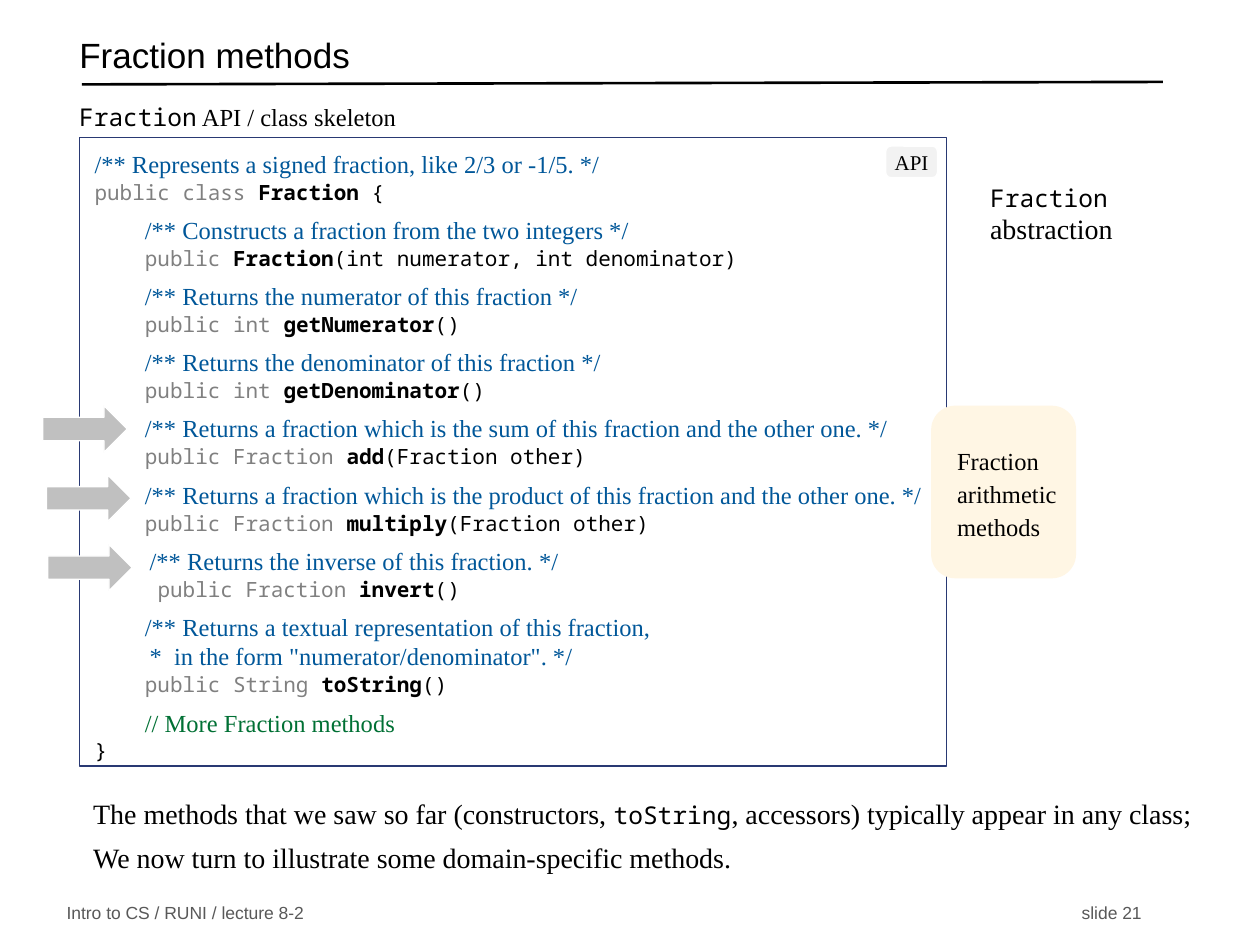
"""Builds the Fraction methods slide."""
from lxml import etree
from pptx import Presentation
from pptx.dml.color import RGBColor
from pptx.enum.shapes import MSO_CONNECTOR, MSO_SHAPE
from pptx.enum.text import MSO_ANCHOR, MSO_AUTO_SIZE, PP_ALIGN
from pptx.oxml.ns import qn
from pptx.util import Inches, Pt

RECT, ROUND, ARROW = MSO_SHAPE.RECTANGLE, MSO_SHAPE.ROUNDED_RECTANGLE, MSO_SHAPE.RIGHT_ARROW
TOP, MIDDLE = MSO_ANCHOR.TOP, MSO_ANCHOR.MIDDLE
LEFT, CENTER, RIGHT = PP_ALIGN.LEFT, PP_ALIGN.CENTER, PP_ALIGN.RIGHT
STRAIGHT, NO_FIT = MSO_CONNECTOR.STRAIGHT, MSO_AUTO_SIZE.NONE

BLACK = RGBColor(0x00, 0x00, 0x00)
WHITE = RGBColor(0xFF, 0xFF, 0xFF)
GREY = RGBColor(0x80, 0x80, 0x80)
FOOTER = RGBColor(0x59, 0x59, 0x59)
NAVY = RGBColor(0x29, 0x39, 0x73)
BLUE = RGBColor(0x00, 0x57, 0x99)
GREEN = RGBColor(0x00, 0x70, 0x34)
SILVER = RGBColor(0xC0, 0xC0, 0xC0)
PALE = RGBColor(0xF2, 0xF2, 0xF2)
CREAM = RGBColor(0xFF, 0xF6, 0xE4)

SERIF, SANS, MONO = "Times New Roman", "Arial", "Noto Sans Mono"
INDENT = "    "

METHODS = [
    (INDENT, "/** Constructs a fraction from the two integers */",
     INDENT, "public ", "Fraction", "(int numerator, int denominator)"),
    (INDENT, "/** Returns the numerator of this fraction */",
     INDENT, "public int ", "getNumerator", "()"),
    (INDENT, "/** Returns the denominator of this fraction */",
     INDENT, "public int ", "getDenominator", "()"),
    (INDENT, "/** Returns a fraction which is the sum of this fraction and the other one. */",
     INDENT, "public Fraction ", "add", "(Fraction other)"),
    (INDENT, "/** Returns a fraction which is the product of this fraction and the other one. */",
     INDENT, "public Fraction ", "multiply", "(Fraction other)"),
    ("", "         /** Returns the inverse of this fraction. */",
     "     ", "public Fraction ", "invert", "()"),
    (INDENT, "/** Returns a textual representation of this fraction,\n"
     "         *  in the form \"numerator/denominator\". */",
     INDENT, "public String ", "toString", "()"),
]


def add_run(p, text, font=SERIF, size=14, color=BLACK, bold=False):
    """Append a formatted run to a paragraph."""
    r = p.add_run()
    r.text = text
    r.font.name, r.font.size, r.font.bold = font, Pt(size), bold
    r.font.color.rgb = color


class SlideBuilder:
    """Holds the text defaults and the current slide."""

    def __init__(self, slide, font=SERIF, mono=MONO):
        self.s, self.font, self.mono = slide, font, mono

    def frame(self, sp, anchor=TOP, margins=(0.1, 0.05, 0.1, 0.05), wrap=True):
        """Prepare and return the text frame of a shape."""
        tf = sp.text_frame
        tf.word_wrap, tf.auto_size, tf.vertical_anchor = wrap, NO_FIT, anchor
        tf.margin_left, tf.margin_top, tf.margin_right, tf.margin_bottom = map(Inches, margins)
        return tf

    def para(self, tf, *runs, align=LEFT, before=0, spacing=None):
        """Add a paragraph made of (text, format) runs."""
        first = tf.paragraphs[0]
        p = tf.add_paragraph() if first.runs else first
        p.alignment, p.line_spacing = align, spacing
        if before and p._p is not first._p:
            p.space_before = Pt(before)
        for text, fmt in runs:
            add_run(p, text, **{"font": self.font, **fmt})
        return p

    def place(self, sp, x, y, w, h):
        """Move and size a placeholder."""
        sp.left, sp.top, sp.width, sp.height = map(Inches, (x, y, w, h))
        return sp

    def title(self, text, *box):
        """Fill the title placeholder."""
        tf = self.frame(self.place(self.s.shapes.title, *box), MIDDLE)
        self.para(tf, (text, dict(font=SANS, size=20)), spacing=0.7)

    def body(self, lines, *box):
        """Fill the body placeholder with unbulleted lines."""
        tf = self.frame(self.place(self.s.placeholders[1], *box))
        for level, runs in enumerate(lines):
            p = self.para(tf, *runs, before=6)
            p.level = level
            p.space_before = Pt(6 if level else 0)
            pPr = p._p.get_or_add_pPr()
            pPr.set("marL", str(Inches(0.11)))
            pPr.set("indent", "0")
            etree.SubElement(pPr, qn("a:buNone"))

    def text(self, runs, *box, align=LEFT, anchor=TOP):
        """Add a text box with one paragraph."""
        sp = self.s.shapes.add_textbox(*map(Inches, box))
        self.para(self.frame(sp, anchor), *runs, align=align)

    def shape(self, kind, *box, fill=None, line=None):
        """Add a preset shape with the given fill and outline."""
        sp = self.s.shapes.add_shape(kind, *map(Inches, box))
        sp.shadow.inherit = False
        for part, color in ((sp.fill, fill), (sp.line.fill, line)):
            if color is None:
                part.background()
            else:
                part.solid()
                part.fore_color.rgb = color
        if line is not None:
            sp.line.width = Pt(0.75)
        return sp

    def rule(self, x1, y1, x2, y2):
        """Add a straight black line."""
        cn = self.s.shapes.add_connector(STRAIGHT, *map(Inches, (x1, y1, x2, y2)))
        cn.line.color.rgb, cn.line.width = BLACK, Pt(1.5)
        etree.SubElement(cn._element.spPr, qn("a:effectLst"))

    def comment(self, tf, lead, text, color=BLUE, before=6):
        """Add comment lines, the first with a monospaced lead."""
        for i, line in enumerate(text.split("\n")):
            runs = [(lead, dict(font=self.mono, size=12))] if lead and not i else []
            self.para(tf, *runs, (line, dict(color=color)), before=0 if i else before)

    def code(self, tf, lead, modifiers, name, rest):
        """Add a code line with grey modifiers and a bold name."""
        mono = dict(font=self.mono, size=12)
        runs = [(lead, mono), (modifiers, dict(mono, color=GREY)),
                (name, dict(mono, bold=True)), (rest, mono)]
        self.para(tf, *[run for run in runs if run[0]], spacing=Pt(15))


def main():
    """Build and save the slide."""
    prs = Presentation()
    prs.slide_width, prs.slide_height = Inches(10), Inches(7.5)
    b = SlideBuilder(prs.slides.add_slide(prs.slide_layouts[1]))
    mono14, serif16 = dict(font=MONO), dict(size=16)
    footer = dict(font=SANS, size=10, color=FOOTER)

    b.rule(0.65, 0.67, 9.23, 0.65)
    b.text([("Intro to CS / RUNI / lecture 8-2", footer)], 0.43, 7.14, 4, 0.21, anchor=MIDDLE)
    b.text([("slide 21", footer)], 7.16, 7.14, 2, 0.21, align=RIGHT, anchor=MIDDLE)
    b.title("Fraction methods", 0.53, 0.22, 8.6, 0.5)
    b.text([("Fraction", mono14), (" API / class skeleton", {})], 0.53, 0.76, 3.7, 0.34)

    sp = b.shape(RECT, 0.63, 1.09, 6.88, 4.99, line=NAVY)
    tf = b.frame(sp, margins=(0.12, 0.09, 0, 0))
    b.comment(tf, "", "/** Represents a signed fraction, like 2/3 or -1/5. */")
    b.code(tf, "", "public class ", "Fraction", " {")
    for lead, comment, *code in METHODS:
        b.comment(tf, lead, comment)
        b.code(tf, *code)
    b.comment(tf, INDENT, "// More Fraction methods", GREEN)
    b.code(tf, "", "", "", "}")

    b.body([
        [("The methods that we saw so far (constructors, ", serif16), ("toString", mono14),
         (", accessors) typically appear in any class;", serif16)],
        [("We now turn to illustrate some domain-specific methods.", serif16)],
    ], 0.53, 6.27, 9.46, 0.86)
    b.text([("Fraction ", mono14), ("abstraction", serif16)], 7.76, 1.4, 1.55, 0.61)

    for i, x in enumerate((0.34, 0.37, 0.38)):
        b.shape(ARROW, x, 3.22 + 0.55 * i, 0.67, 0.37, fill=SILVER, line=WHITE)

    sp = b.shape(ROUND, 7.03, 1.16, 0.41, 0.25, fill=PALE, line=WHITE)
    tf = b.frame(sp, MIDDLE, (0, 0.05, 0, 0.05))
    b.para(tf, ("API", dict(size=12)), align=CENTER)

    sp = b.shape(ROUND, 7.39, 3.22, 1.15, 1.37, fill=CREAM)
    tf = b.frame(sp, MIDDLE, (0.15, 0.05, 0.08, 0.05))
    b.para(tf, ("Fraction arithmetic methods", {}), spacing=Pt(18.8))

    prs.save("out.pptx")


if __name__ == "__main__":
    main()
